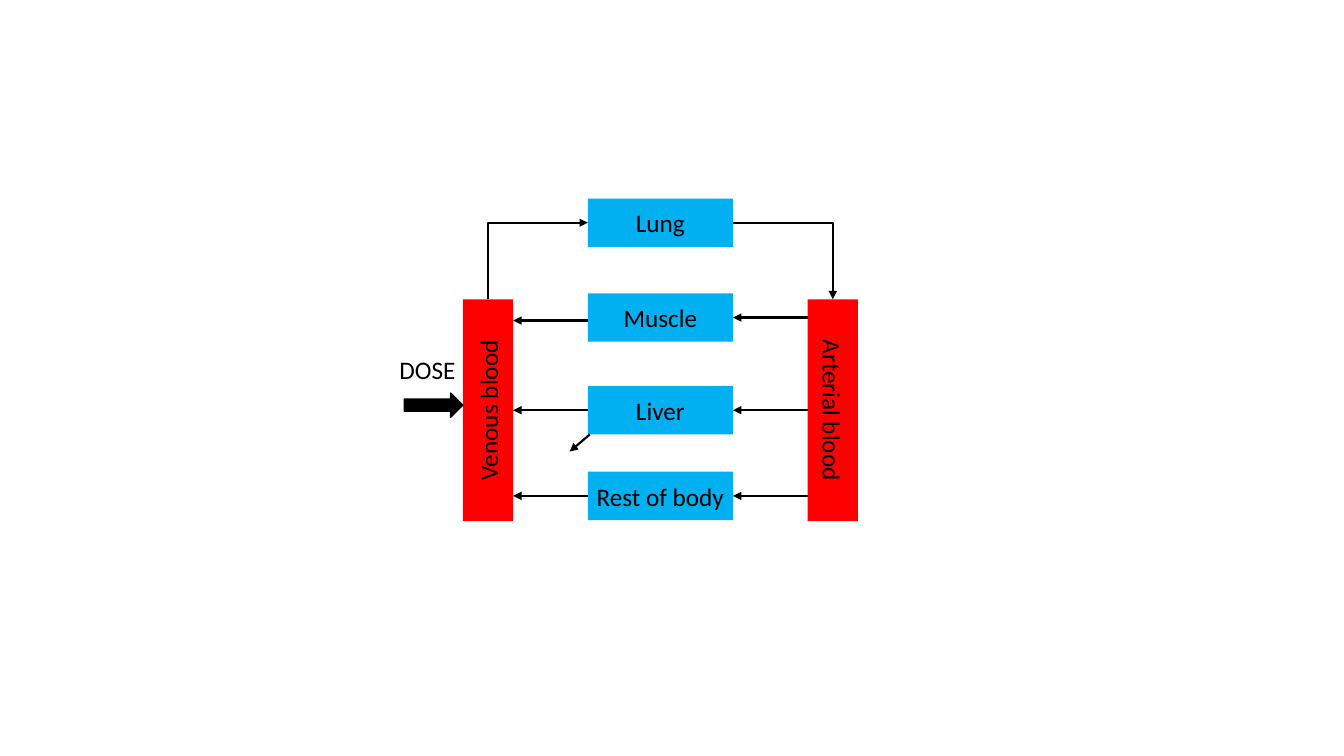
from pptx import Presentation
from pptx.dml.color import RGBColor
from pptx.enum.shapes import MSO_CONNECTOR as Connector, MSO_SHAPE as Shape
from pptx.enum.text import MSO_ANCHOR as Anchor, PP_ALIGN as Align
from pptx.oxml.ns import qn
from pptx.util import Inches, Pt
from lxml.etree import SubElement

COLORS = {"blood": "FF0000", "organ": "00B0F0", "ink": "000000"}
TOP, LEFT, BOTTOM, RIGHT = range(4)

ORGAN_LEFT, ORGAN_WIDTH, ORGAN_HEIGHT = 5.83, 1.44, 0.48
ORGAN_RIGHT = ORGAN_LEFT + ORGAN_WIDTH
VENOUS_LEFT, ARTERIAL_LEFT = 4.59, 8.01
BLOOD_TOP, BLOOD_WIDTH, BLOOD_HEIGHT = 2.97, 0.5, 2.2
VENOUS_RIGHT = VENOUS_LEFT + BLOOD_WIDTH
LUNG_MIDDLE = 2.21
# name, middle of the box, height of the arrow to venous blood
TISSUES = [("Muscle", 3.15, 3.18), ("Liver", 4.07, 4.07), ("Rest of body", 4.92, 4.92)]


def color(name):
    return RGBColor.from_string(COLORS[name])


def write_label(shape, text, direction=None):
    """Centre one line of text; direction is a vertical text mode such as vert270."""
    frame = shape.text_frame
    frame.word_wrap = False
    frame.vertical_anchor = Anchor.MIDDLE
    if direction:
        frame._txBody.bodyPr.set("vert", direction)
    paragraph = frame.paragraphs[0]
    paragraph.alignment = Align.CENTER
    run = paragraph.add_run()
    run.text = text
    run.font.name = "Calibri"
    run.font.size = Pt(18)
    run.font.color.rgb = color("ink")


def add_filled(slide, kind, left, top, width, height, fill):
    shape = slide.shapes.add_shape(kind, Inches(left), Inches(top), Inches(width), Inches(height))
    shape.shadow.inherit = False
    shape.fill.solid()
    shape.fill.fore_color.rgb = color(fill)
    shape.line.fill.background()
    return shape


def add_organ(slide, name, middle):
    organ = add_filled(slide, Shape.RECTANGLE, ORGAN_LEFT, middle - ORGAN_HEIGHT / 2,
                       ORGAN_WIDTH, ORGAN_HEIGHT, "organ")
    write_label(organ, name)
    return organ


def add_blood(slide, name, left, direction):
    blood = add_filled(slide, Shape.RECTANGLE, left, BLOOD_TOP, BLOOD_WIDTH, BLOOD_HEIGHT, "blood")
    write_label(blood, name, direction)
    return blood


def add_arrow(slide, start, end, kind=Connector.STRAIGHT):
    arrow = slide.shapes.add_connector(kind, *map(Inches, start + end))
    arrow.line.color.rgb = color("ink")
    arrow.line.width = Pt(1.5)
    SubElement(arrow.line._get_or_add_ln(), qn("a:tailEnd"), type="triangle")
    SubElement(arrow._element.spPr, qn("a:effectLst"))
    return arrow


def add_corner_arrow(slide, start, end, quarter_turn=False):
    """Arrow with one corner: across then down, or up then across if turned."""
    if quarter_turn:
        center_x, center_y = (start[0] + end[0]) / 2, (start[1] + end[1]) / 2
        half_x, half_y = (start[1] - end[1]) / 2, (end[0] - start[0]) / 2
        start = (center_x + half_x, center_y + half_y)
        end = (center_x - half_x, center_y - half_y)
    arrow = add_arrow(slide, start, end, Connector.ELBOW)
    properties = arrow._element.spPr
    properties.find(qn("a:prstGeom")).set("prst", "bentConnector2")
    if quarter_turn:
        properties.find(qn("a:xfrm")).set("rot", str(90 * 60000))


def add_tissue_flow(slide, tissue, middle, venous_y, arterial, venous):
    """Arrows from arterial blood through a tissue to venous blood."""
    inflow = add_arrow(slide, (ARTERIAL_LEFT, middle), (ORGAN_RIGHT, middle))
    inflow.end_connect(tissue, RIGHT)
    outflow = add_arrow(slide, (ORGAN_LEFT, venous_y), (VENOUS_RIGHT, venous_y))
    if venous_y == middle:
        outflow.begin_connect(tissue, LEFT)
    if middle == BLOOD_TOP + BLOOD_HEIGHT / 2:
        inflow.begin_connect(arterial, LEFT)
        outflow.end_connect(venous, RIGHT)


def add_dose(slide):
    arrow = add_filled(slide, Shape.RIGHT_ARROW, 4.01, 3.9, 0.58, 0.24, "ink")
    arrow.line.color.rgb = color("ink")
    arrow.line.width = Pt(1)
    label = slide.shapes.add_textbox(Inches(3.86), Inches(3.47), Inches(0.76), Inches(0.4))
    write_label(label, "DOSE")


def main():
    presentation = Presentation()
    presentation.slide_width = Inches(13.33)
    presentation.slide_height = Inches(7.5)
    slide = presentation.slides.add_slide(presentation.slide_layouts[6])

    arterial = add_blood(slide, "Arterial blood", ARTERIAL_LEFT, "vert")
    venous = add_blood(slide, "Venous blood", VENOUS_LEFT, "vert270")
    add_organ(slide, "Lung", LUNG_MIDDLE)
    for name, middle, venous_y in TISSUES:
        tissue = add_organ(slide, name, middle)
        add_tissue_flow(slide, tissue, middle, venous_y, arterial, venous)

    half = BLOOD_WIDTH / 2
    add_corner_arrow(slide, (VENOUS_LEFT + half, BLOOD_TOP), (ORGAN_LEFT, LUNG_MIDDLE),
                     quarter_turn=True)
    add_corner_arrow(slide, (ORGAN_RIGHT, LUNG_MIDDLE), (ARTERIAL_LEFT + half, BLOOD_TOP))
    add_arrow(slide, (5.85, 4.31), (5.65, 4.48))
    add_dose(slide)
    presentation.save("out.pptx")


if __name__ == "__main__":
    main()
